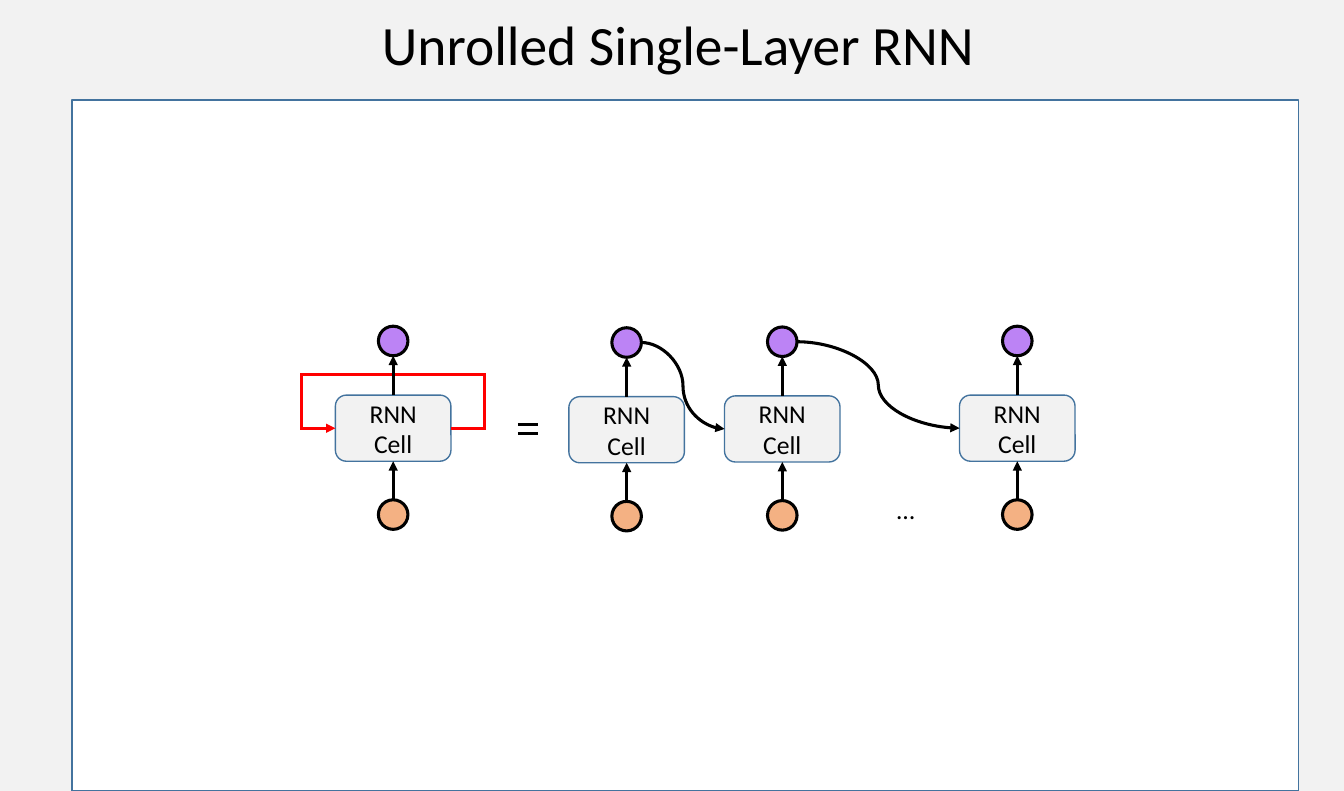
from dataclasses import dataclass

from lxml.etree import SubElement
from pptx import Presentation
from pptx.dml.color import RGBColor as Rgb
from pptx.enum.shapes import MSO_CONNECTOR as Link, MSO_SHAPE as Form
from pptx.enum.text import MSO_ANCHOR as Anchor, PP_ALIGN as Align
from pptx.oxml.ns import qn
from pptx.util import Cm, Pt


@dataclass(frozen=True)
class Theme:
    font: str = "Calibri"
    title_size: float = 40.4
    label_size: float = 18.7
    stroke: float = 2.25
    outline: float = 1
    ink: str = "000000"
    paper: str = "F2F2F2"
    panel: str = "FFFFFF"
    border: str = "43739E"
    input: str = "F4B183"
    output: str = "BC83F5"
    loop: str = "FF0000"


@dataclass(frozen=True)
class Box:
    left: float
    top: float
    width: float
    height: float

    def lengths(self):
        return [Cm(v) for v in (self.left, self.top, self.width, self.height)]


THEME = Theme()
TOP, RIGHT_SIDE, BOTTOM, LEFT_SIDE = 0, 3, 2, 1
UNIT_WIDTH, UNIT_HEIGHT = 2.97, 5.22
DOT, CELL_TOP, CELL_HEIGHT = 0.76, 1.77, 1.7


def write(frame, text, size=THEME.label_size, color=THEME.ink, anchor=Anchor.MIDDLE,
          inset=0.25, spacing=None):
    frame.word_wrap = True
    frame.vertical_anchor = anchor
    frame.margin_left = frame.margin_right = Cm(inset)
    paragraph = frame.paragraphs[0]
    paragraph.alignment = Align.CENTER
    paragraph.line_spacing = spacing
    run = paragraph.add_run()
    run.text = text
    run.font.name = THEME.font
    run.font.size = Pt(size)
    run.font.color.rgb = Rgb.from_string(color)


def add_form(slide, form, box, fill, line, weight):
    shape = slide.shapes.add_shape(form, *box.lengths())
    shape.shadow.inherit = False
    shape.fill.solid()
    shape.fill.fore_color.rgb = Rgb.from_string(fill)
    shape.line.color.rgb = Rgb.from_string(line)
    shape.line.width = Pt(weight)
    return shape


def add_link(slide, start, end, color=THEME.ink, arrow=False, kind=Link.STRAIGHT,
             source=None, target=None):
    link = slide.shapes.add_connector(kind, *(Cm(v) for v in (*start, *end)))
    link.line.color.rgb = Rgb.from_string(color)
    link.line.width = Pt(THEME.stroke)
    if arrow:
        SubElement(link.line._get_or_add_ln(), qn("a:tailEnd"), type="triangle")
    SubElement(link._element.spPr, qn("a:effectLst"))
    if source:
        link.begin_connect(*source)
    if target:
        link.end_connect(*target)


def add_title(slide, box):
    title = slide.shapes.add_textbox(*box.lengths())
    write(title.text_frame, "Unrolled Single-Layer RNN", size=THEME.title_size, spacing=0.9)


def add_loop(slide, box, cell):
    reach, rise, overlap = 0.86, 1.38, 0.04
    middle = box.top + box.height / 2
    top = middle - rise
    left, right = box.left - reach, box.left + box.width + reach
    add_link(slide, (left - overlap, middle), (box.left, middle), THEME.loop,
             arrow=True, target=(cell, LEFT_SIDE))
    add_link(slide, (box.left + box.width, middle), (right, middle), THEME.loop,
             source=(cell, RIGHT_SIDE))
    for x in (left, right):
        add_link(slide, (x, top), (x, middle + overlap), THEME.loop)
    add_link(slide, (left - overlap, top), (right + overlap, top), THEME.loop)


def add_unit(slide, box, looped=False):
    center = box.left + box.width / 2
    cell_box = Box(box.left, box.top + CELL_TOP, box.width, CELL_HEIGHT)
    dot_left, input_top = center - DOT / 2, box.top + box.height - DOT
    input_dot = add_form(slide, Form.OVAL, Box(dot_left, input_top, DOT, DOT),
                         THEME.input, THEME.ink, THEME.stroke)
    cell = add_form(slide, Form.ROUNDED_RECTANGLE, cell_box,
                    THEME.paper, THEME.border, THEME.outline)
    write(cell.text_frame, "RNN Cell", inset=0.3)
    if looped:
        add_loop(slide, cell_box, cell)
    add_link(slide, (center, input_top), (center, cell_box.top + CELL_HEIGHT), arrow=True,
             source=(input_dot, TOP), target=(cell, BOTTOM))
    add_link(slide, (center, cell_box.top), (center, box.top + DOT), arrow=True,
             source=(cell, TOP))
    add_form(slide, Form.OVAL, Box(dot_left, box.top, DOT, DOT),
             THEME.output, THEME.ink, THEME.stroke)
    return cell


def add_equals(slide, box):
    for y in (box.top, box.top + box.height):
        add_link(slide, (box.left, y), (box.left + box.width, y))


def add_sequence(slide, boxes):
    cells = [add_unit(slide, box) for box in boxes]
    for box, following, cell in zip(boxes, boxes[1:], cells[1:]):
        start = (box.left + (box.width + DOT) / 2, box.top + DOT / 2)
        end = (following.left, following.top + CELL_TOP + CELL_HEIGHT / 2)
        add_link(slide, start, end, arrow=True, kind=Link.CURVE, target=(cell, LEFT_SIDE))


def add_ellipsis(slide, box):
    ellipsis = slide.shapes.add_textbox(*box.lengths())
    write(ellipsis.text_frame, "…", anchor=Anchor.TOP)


def main():
    deck = Presentation()
    deck.slide_width, deck.slide_height = Cm(34.54), Cm(20.32)
    slide = deck.slides.add_slide(deck.slide_layouts[6])
    slide.background.fill.solid()
    slide.background.fill.fore_color.rgb = Rgb.from_string(THEME.paper)

    add_form(slide, Form.RECTANGLE, Box(1.85, 2.57, 31.52, 17.75),
             THEME.panel, THEME.border, THEME.outline)
    add_title(slide, Box(2.54, 0.28, 29.79, 1.88))
    add_unit(slide, Box(8.62, 8.38, UNIT_WIDTH, UNIT_HEIGHT), looped=True)
    add_equals(slide, Box(13.31, 10.9, 0.51, 0.23))
    steps = [(14.62, 8.42), (18.62, 8.4), (24.66, 8.38)]
    add_sequence(slide, [Box(*step, UNIT_WIDTH, UNIT_HEIGHT) for step in steps])
    add_ellipsis(slide, Box(22.73, 12.57, 1.09, 1.04))
    deck.save("out.pptx")


if __name__ == "__main__":
    main()
